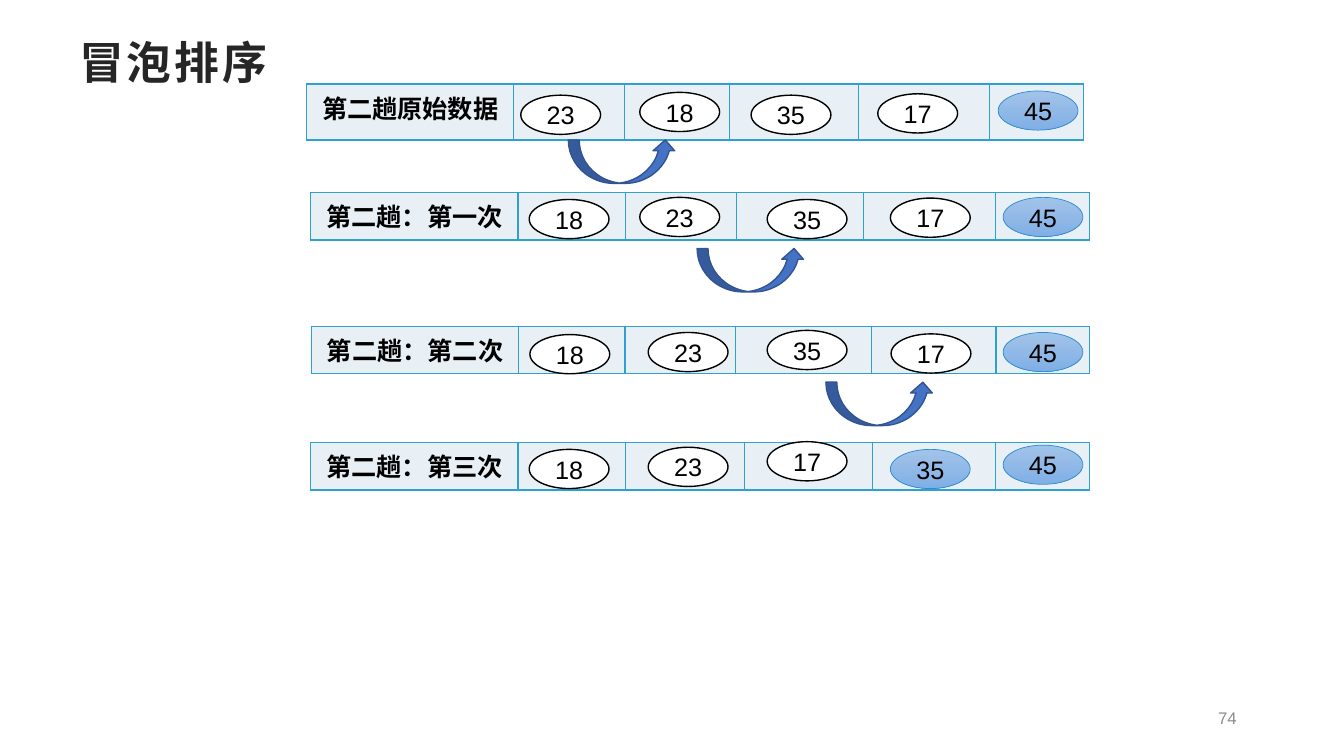
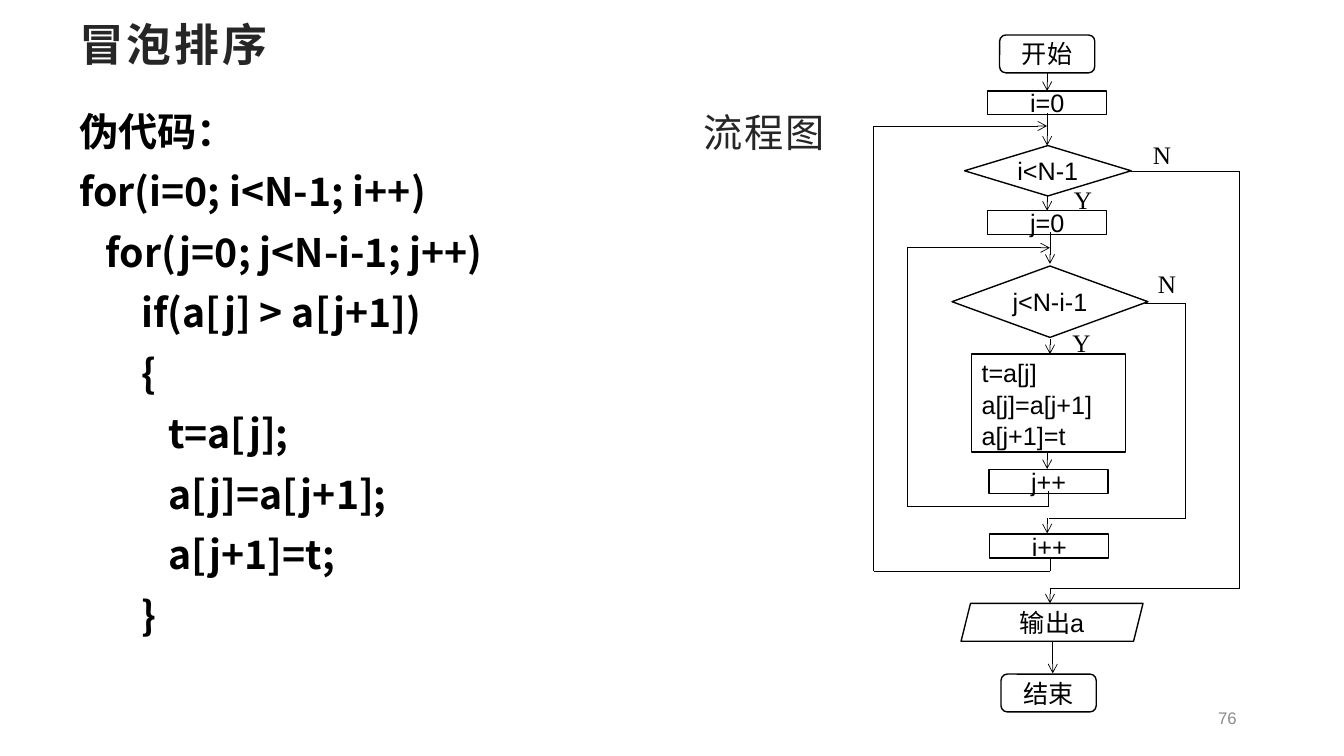
from itertools import pairwise

from lxml.etree import SubElement
from pptx import Presentation
from pptx.dml.color import RGBColor
from pptx.enum.shapes import MSO_CONNECTOR as Connector, MSO_SHAPE as Preset
from pptx.enum.text import MSO_ANCHOR as Anchor, PP_ALIGN as Align
from pptx.oxml import parse_xml
from pptx.oxml.ns import nsdecls, qn
from pptx.util import Pt

BLACK, WHITE, TITLE, MUTED = "000000", "FFFFFF", "262626", "8C8C8C"
CELL, BORDER = "E8F0F6", "2FA1CF"
SORTED_TOP, SORTED_BOTTOM, SORTED_LINE = "A2C3E9", "80AFE5", "2A8DD4"
ARROW, ARROW_LINE = "4472C4", "325491"
LATIN, CHINESE, SERIF = "Arial", "Noto Sans CJK SC", "Times New Roman"

OVAL_SIZE = (57, 28)
SWAP_SIZE = (77, 31)
SWAP_LEFT, SWAP_STEP, SWAP_DROP = 406, 92, 40

PASSES = [
    dict(label="第二趟原始数据", box=(219, 60, 40), widths=(148, 79, 75, 92, 94, 67),
         ovals=[(23, 153, 8), (18, 238, 6), (35, 317.5, 8), (17, 408, 7), (45, 494, 5)]),
    dict(label="第二趟：第一次", box=(222, 137.5, 34), widths=(148, 77, 79, 91, 94, 67),
         ovals=[(18, 156, 5), (23, 235, 3.5), (35, 326, 5), (17, 414, 4), (45, 494.5, 3.5)]),
    dict(label="第二趟：第二次", box=(222.5, 233, 34), widths=(148, 76, 79, 97, 89, 67),
         ovals=[(18, 156, 6), (23, 240.5, 4.5), (35, 325.5, 3), (17, 414, 5.5), (45, 494, 4.5)]),
    dict(label="第二趟：第三次", box=(222, 316, 34), widths=(148, 77, 85, 91, 88, 67), sorted_count=2,
         ovals=[(18, 156, 5), (23, 241, 3.5), (17, 326, -0.5), (35, 414, 5), (45, 494.5, 2)]),
]

CODE = """伪代码：
for(i=0; i<N-1; i++)
   for(j=0; j<N-i-1; j++)
       if(a[j] > a[j+1])
       {
          t=a[j];
          a[j]=a[j+1];
          a[j+1]=t;
       }"""

TERMINAL = (Preset.ROUNDED_RECTANGLE, 68, 27)
STEP = (Preset.RECTANGLE, 85, 17)
NODES = [
    ("开始", 124, 0, *TERMINAL),
    ("i=0", 124, 40, *STEP),
    ("i<N-1", 124.5, 79, Preset.DIAMOND, 119, 36),
    ("j=0", 124, 125.5, *STEP),
    ("j<N-i-1", 126, 165, Preset.DIAMOND, 140, 51),
    ("j++", 125, 310.5, *STEP),
    ("i++", 125.5, 356.5, *STEP),
    ("输出a", 127.5, 406, Preset.PARALLELOGRAM, 130, 27),
    ("结束", 125, 456.5, *TERMINAL),
]
SWAP_CODE = "t=a[j]\na[j]=a[j+1]\na[j+1]=t"
DOWN_ARROWS = [
    (124, 27.5, 40), (124, 56, 79), (124, 114, 125.5), (126, 141, 163.5),
    (126, 217, 228), (124, 298, 310), (124, 345, 356), (126, 395.5, 406),
    (128, 433.5, 456),
]
BACK_LOOPS = [
    [(125, 326), (125, 337), (24, 337), (24, 152), (126, 152)],
    [(126, 373), (126, 383), (0, 383), (0, 65), (124, 65)],
]
EXITS = [
    [(194, 192), (223, 192), (223, 345.5), (125.5, 345.5)],
    [(184, 97.5), (261, 97.5), (261, 395.5), (126, 395.5)],
]
BRANCHES = [("Y", 136, 103), ("N", 192.5, 71), ("Y", 135, 205.5), ("N", 196, 163)]


def color(value):
    return RGBColor.from_string(value)


def points(*lengths):
    return [Pt(length) for length in lengths]


def write(frame, text, size=18, font=LATIN, ink=BLACK, bold=False, tracking=0,
          align=Align.LEFT, spacing=None, after=None):
    for index, line in enumerate(text.split("\n")):
        para = frame.add_paragraph() if index else frame.paragraphs[0]
        para.alignment = align
        if spacing:
            para.line_spacing = spacing
        if after:
            para.space_after = Pt(after)
        span = para.add_run()
        span.text = line
        span.font.size = Pt(size)
        span.font.name = font
        span.font.bold = bold
        span.font.color.rgb = color(ink)
        properties = span._r.get_or_add_rPr()
        SubElement(properties, qn("a:ea")).set("typeface", CHINESE)
        if tracking:
            properties.set("spc", str(int(tracking * 100)))


def add_text(page, bounds, text, anchor=Anchor.TOP, wrap=True, **style):
    frame = page.shapes.add_textbox(*points(*bounds)).text_frame
    frame.word_wrap = wrap
    frame.vertical_anchor = anchor
    write(frame, text, **style)


def add_shape(page, preset, bounds, fill=WHITE, line=BLACK, weight=1,
              text="", inset=0, align=Align.CENTER, **style):
    shape = page.shapes.add_shape(preset, *points(*bounds))
    shape.shadow.inherit = False
    if isinstance(fill, tuple):
        shape.fill.gradient()
        shape.fill.gradient_angle = 270
        for stop, value in zip(shape.fill.gradient_stops, fill):
            stop.color.rgb = color(value)
    else:
        shape.fill.solid()
        shape.fill.fore_color.rgb = color(fill)
    shape.line.color.rgb = color(line)
    shape.line.width = Pt(weight)
    if text:
        frame = shape.text_frame
        frame.word_wrap = False
        frame.vertical_anchor = Anchor.MIDDLE
        frame.margin_left = frame.margin_right = Pt(inset)
        frame.margin_top = frame.margin_bottom = 0
        write(frame, text, align=align, **style)


def add_route(page, stops, arrow=False):
    legs = list(pairwise(stops))
    for index, (start, end) in enumerate(legs):
        leg = page.shapes.add_connector(Connector.STRAIGHT, *points(*start, *end))
        leg.line.color.rgb = color(BLACK)
        leg.line.width = Pt(0.5)
        if arrow and index == len(legs) - 1:
            SubElement(leg.line._get_or_add_ln(), qn("a:tailEnd")).set("type", "arrow")
        SubElement(leg._element.spPr, qn("a:effectLst"))


def format_cell(cell):
    properties = cell._tc.get_or_add_tcPr()
    for side in "LRTB":
        properties.append(parse_xml(
            f'<a:ln{side} {nsdecls("a")} w="12700"><a:solidFill>'
            f'<a:srgbClr val="{BORDER}"/></a:solidFill></a:ln{side}>'))
    cell.fill.solid()
    cell.fill.fore_color.rgb = color(CELL)


def add_pass(page, label, box, widths, ovals, sorted_count=1):
    left, top, height = box
    table = page.shapes.add_table(
        1, len(widths), *points(left, top, sum(widths), height)).table
    table.first_row = table.horz_banding = False
    for column, width in zip(table.columns, widths):
        column.width = Pt(width)
    for cell in table.rows[0].cells:
        format_cell(cell)
    write(table.cell(0, 0).text_frame, label, bold=True, align=Align.CENTER)
    for index, (number, x, y) in enumerate(ovals):
        look = {}
        if index >= len(ovals) - sorted_count:
            look = dict(fill=(SORTED_TOP, SORTED_BOTTOM), line=SORTED_LINE, weight=0.5)
        add_shape(page, Preset.OVAL, (left + x, top + y, *OVAL_SIZE),
                  text=str(number), **look)


def add_flowchart(page, left, top):
    def shift(stops):
        return [(left + x, top + y) for x, y in stops]

    for text, center, y, preset, width, height in NODES:
        add_shape(page, preset, (left + center - width / 2, top + y, width, height), text=text)
    add_shape(page, Preset.RECTANGLE, (left + 70, top + 228, 110, 70), text=SWAP_CODE,
              inset=7.2, align=Align.LEFT, spacing=1.05)
    for x, start, end in DOWN_ARROWS:
        add_route(page, shift([(x, start), (x, end)]), arrow=True)
    for stops in BACK_LOOPS:
        add_route(page, shift(stops), arrow=True)
    for stops in EXITS:
        add_route(page, shift(stops))
    for text, x, y in BRANCHES:
        add_text(page, (left + x, top + y, 28, 28), text, wrap=False, font=SERIF)


def add_page(deck, number, title_top):
    page = deck.slides.add_slide(deck.slide_layouts[6])
    add_text(page, (49.5, title_top, 182, 56), "冒泡排序",
             size=32, ink=TITLE, bold=True, tracking=2)
    add_text(page, (678, 500, 212.5, 25), str(number), anchor=Anchor.MIDDLE,
             size=12, ink=MUTED, align=Align.RIGHT)
    return page


def build_sort_page(deck):
    page = add_page(deck, 74, 21)
    for row in PASSES:
        add_pass(page, **row)
    for index, row in enumerate(PASSES[:-1]):
        bounds = (SWAP_LEFT + index * SWAP_STEP, row["box"][1] + SWAP_DROP, *SWAP_SIZE)
        add_shape(page, Preset.CURVED_UP_ARROW, bounds, fill=ARROW, line=ARROW_LINE)


def build_code_page(deck):
    page = add_page(deck, 76, 8.5)
    add_text(page, (495.5, 63.5, 130, 85), "流程图", size=28, ink=TITLE,
             tracking=1.5, spacing=1.3, after=10)
    add_text(page, (49.5, 63.5, 397.5, 400), CODE, size=28, font=CHINESE,
             bold=True, spacing=Pt(43.2))
    add_flowchart(page, 624, 25)


def main():
    deck = Presentation()
    deck.slide_width, deck.slide_height = points(960, 540)
    build_sort_page(deck)
    build_code_page(deck)
    deck.save("out.pptx")


if __name__ == "__main__":
    main()
